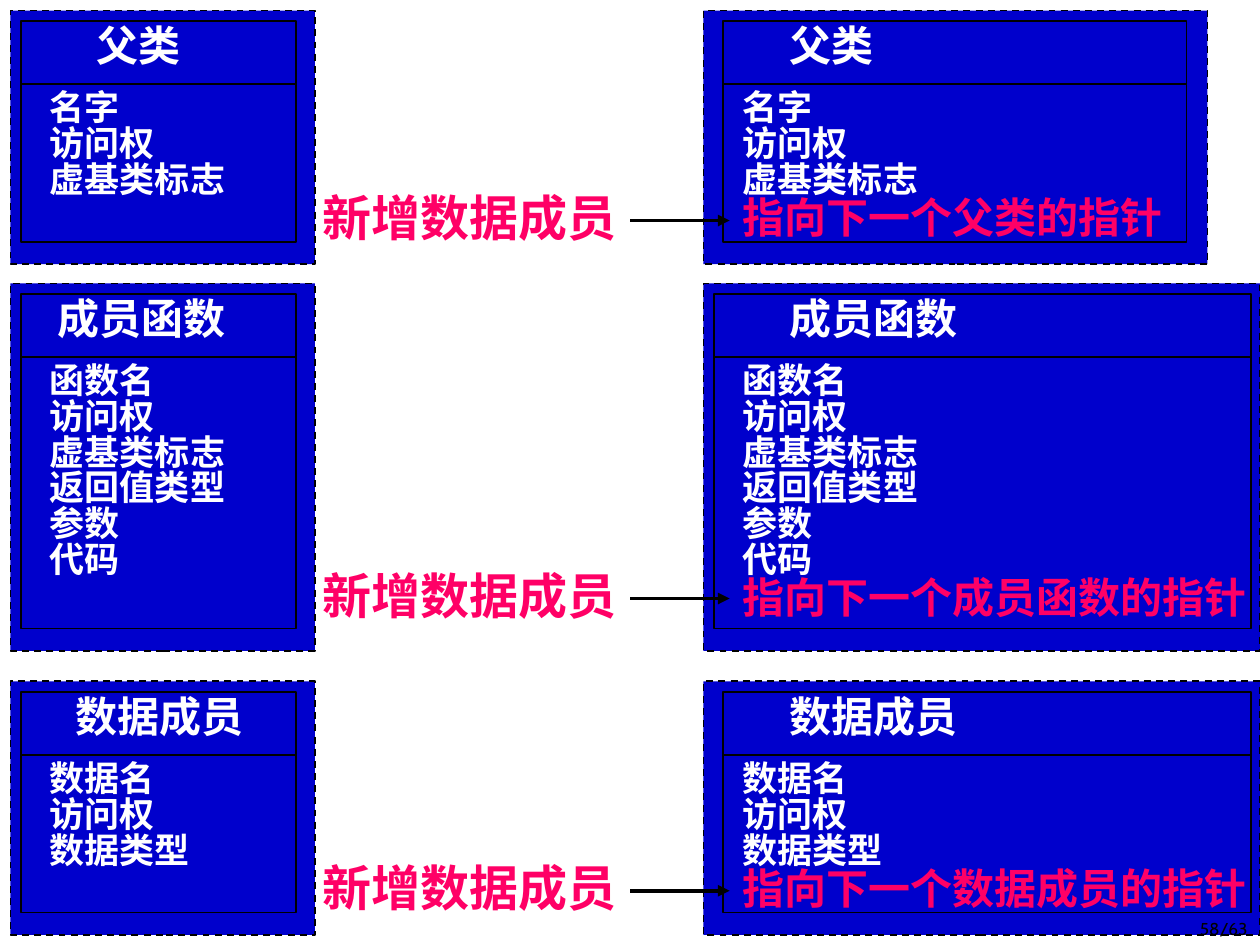
from dataclasses import dataclass

from lxml import etree
from pptx import Presentation
from pptx.dml.color import RGBColor as RGB
from pptx.enum.dml import MSO_LINE
from pptx.enum.shapes import MSO_CONNECTOR as CONN, MSO_SHAPE as SHAPE
from pptx.enum.text import MSO_ANCHOR as ANCHOR, MSO_AUTO_SIZE as FIT, PP_ALIGN as ALIGN
from pptx.oxml.ns import qn
from pptx.util import Pt


@dataclass(frozen=True)
class Theme:
    panel: str = "0000CC"
    ink: str = "000000"
    text: str = "FFFFFF"
    accent: str = "FF0066"
    font: str = "Roboto"
    page_font: str = "Cabin"
    title: float = 24
    field: float = 20
    label: float = 28
    page: float = 9.8


def add_text(tf, text, *, size, color, font, bold=True, align=ALIGN.LEFT, spacing=1.0):
    p = tf.paragraphs[0] if not tf.text else tf.add_paragraph()
    p.alignment, p.line_spacing = align, spacing
    r = p.add_run()
    r.text = text
    r.font.size, r.font.bold, r.font.name = Pt(size), bold, font
    r.font.color.rgb = RGB.from_string(color)
    etree.SubElement(r._r.rPr, qn("a:ea"), typeface=font)


class Deck:
    def __init__(self, slide, theme):
        self.s, self.t = slide, theme

    def rect(self, x, y, w, h, dashed=False):
        sp = self.s.shapes.add_shape(SHAPE.RECTANGLE, Pt(x), Pt(y), Pt(w), Pt(h))
        sp.shadow.inherit = False
        sp.fill.solid()
        sp.fill.fore_color.rgb = RGB.from_string(self.t.panel)
        sp.line.color.rgb = RGB.from_string(self.t.ink)
        sp.line.width = Pt(1)
        if dashed:
            sp.line.dash_style = MSO_LINE.DASH

    def line(self, x1, x2, y, width=1, arrow=False):
        cn = self.s.shapes.add_connector(CONN.STRAIGHT, Pt(x1), Pt(y), Pt(x2), Pt(y))
        cn.line.color.rgb = RGB.from_string(self.t.ink)
        cn.line.width = Pt(width)
        sp_pr = cn._element.spPr
        if arrow:
            etree.SubElement(sp_pr.find(qn("a:ln")), qn("a:tailEnd"), type="triangle")
        etree.SubElement(sp_pr, qn("a:effectLst"))

    def box(self, x, y, w, h, wrap=False, fit=FIT.SHAPE_TO_FIT_TEXT):
        tf = self.s.shapes.add_textbox(Pt(x), Pt(y), Pt(w), Pt(h)).text_frame
        tf.word_wrap, tf.auto_size = wrap, fit
        return tf

    def panel(self, x, y, w, h, inner, title, title_at, fields, pointer=None):
        t = self.t
        left, right = inner
        self.rect(x, y, w, h, dashed=True)
        self.rect(left, y + 6.2, right - left, h - 19)
        self.line(left, right, y + 42.2)
        title_x, title_w = title_at
        add_text(self.box(title_x, y + 5, title_w, 33, wrap=True), title,
                 size=t.title, color=t.text, font=t.font, spacing=0.9)
        rows = [(f, t.field, t.text) for f in fields]
        if pointer:
            rows.append((pointer, t.title, t.accent))
        text_w = max(len(f) * size for f, size, _ in rows) + 14.4
        text_h = 7.2 + sum(1.02 * size for _, size, _ in rows)
        tf = self.box(x + 15.4, y + 43.2, text_w, text_h)
        for f, size, color in rows:
            add_text(tf, f, size=size, color=color, font=t.font, spacing=0.85)

    def label(self, text, y):
        t = self.t
        tf = self.box(177.1, y - 36, len(text) * t.label + 14.4, 54.7)
        add_text(tf, text, size=t.label, color=t.accent, font=t.font,
                 align=ALIGN.CENTER, spacing=1.4)

    def arrow(self, y):
        self.line(360, 417, y, width=2.25, arrow=True)

    def page_number(self, text):
        t = self.t
        tf = self.box(570, 504, 150, 36, wrap=True, fit=FIT.NONE)
        tf.vertical_anchor = ANCHOR.BOTTOM
        add_text(tf, text, size=t.page, color=t.ink, font=t.page_font,
                 bold=False, align=ALIGN.RIGHT)


ROWS = [
    ("父类", ["名字", "访问权", "虚基类标志"],
     6, 145, 126, (48, 96), 288, (413, 678)),
    ("成员函数", ["函数名", "访问权", "虚基类标志", "返回值类型", "参数", "代码"],
     162, 210, 342, (26, 148), 318, (408, 715)),
    ("数据成员", ["数据名", "访问权", "数据类型"],
     389.3, 145, 509, (36, 121), 318, (413, 715)),
]


def main():
    prs = Presentation()
    prs.slide_width, prs.slide_height = Pt(720), Pt(540)
    deck = Deck(prs.slides.add_slide(prs.slide_layouts[6]), Theme())
    for title, fields, y, h, arrow_y, title_at, wide, inner in ROWS:
        deck.panel(6, y, 174, h, (12, 169), title, title_at, fields)
        deck.label("新增数据成员", arrow_y)
        deck.panel(402, y, wide, h, inner, title, (444, 150), fields,
                   pointer=f"指向下一个{title}的指针")
        deck.arrow(arrow_y)
    deck.page_number("58/63")
    prs.save("out.pptx")


if __name__ == "__main__":
    main()
